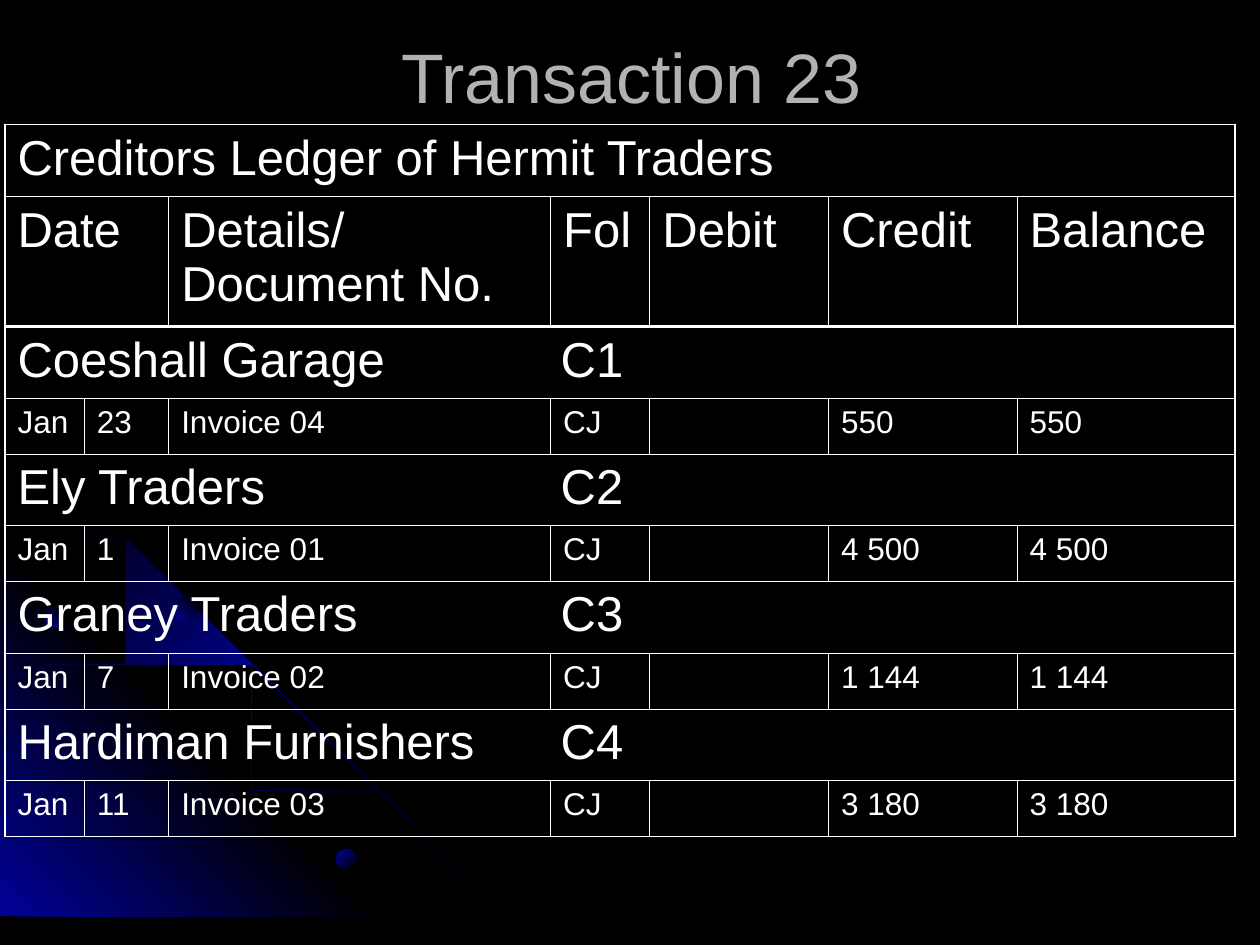
from lxml.etree import SubElement
from pptx import Presentation
from pptx.dml.color import RGBColor
from pptx.enum.shapes import MSO_SHAPE
from pptx.enum.text import MSO_ANCHOR, PP_ALIGN
from pptx.oxml import parse_xml
from pptx.oxml.ns import nsdecls, qn
from pptx.util import Cm, Pt

COLORS = {"bg": "000000", "glow": "010199", "title": "B2B2B2", "text": "FFFFFF"}
FONT = "Arial"
INCH = Cm(2.54)
NO_STYLE = "{2D5ABB26-0587-4C30-8999-92F81FD0307C}"
THIN, OUTER, THICK = 0.45, 1.08, 2.21

ARCS = [
    [(0, 0.11), (0.28, 0.16), (0.56, 0.22), (0.97, 0.34), (1.35, 0.51), (1.73, 0.72),
     (2.08, 0.96), (2.41, 1.22), (2.71, 1.52), (2.98, 1.85), (3.23, 2.22),
     (3.37, 2.46), (3.5, 2.71), (3.6, 2.96), (3.7, 3.22)],
    [(0, 0.5), (0.39, 0.63), (0.77, 0.8), (1.15, 1.01), (1.5, 1.24), (1.83, 1.51),
     (2.13, 1.81), (2.4, 2.15), (2.65, 2.5), (2.85, 2.87), (2.94, 3.05), (3.01, 3.22)],
    [(0, 0.17), (0.36, 0.3), (0.74, 0.48), (1.09, 0.67), (1.42, 0.91), (1.73, 1.17),
     (2.02, 1.48), (2.27, 1.78), (2.52, 2.14), (2.67, 2.4), (2.8, 2.67),
     (2.92, 2.95), (3.01, 3.22)],
]
WEDGE = [(0, 0), (3.22, 3.22), (0, 3.22)]
DOTS = [(0.91, 1.42, 0.38, 135), (6.78, 6.27, 0.41, 225), (3.48, 1.17, 0.53, 135)]

HEADINGS = ["Date", None, "Details/ Document No.", "Fol", "Debit", "Credit", "Balance"]
ACCOUNTS = [
    ("Coeshall Garage", "C1", "23", "Invoice 04", "550"),
    ("Ely Traders", "C2", "1", "Invoice 01", "4 500"),
    ("Graney Traders", "C3", "7", "Invoice 02", "1 144"),
    ("Hardiman Furnishers", "C4", "11", "Invoice 03", "3 180"),
]
COL_WIDTHS = [1.6, 1.7, 7.7, 2.0, 3.6, 3.8, 4.4]
LARGE_ROW, HEADING_ROW, ENTRY_ROW = 1.45, 2.62, 1.12


def add_run(p, text, size, color):
    r = p.add_run()
    r.text = text
    r.font.name = FONT
    r.font.size = Pt(size)
    r.font.color.rgb = RGBColor.from_string(COLORS[color])


def fade(sp, names, angle):
    sp.shadow.inherit = False
    sp.line.fill.background()
    sp.fill.background()
    stops = "".join(
        f'<a:gs pos="{100000 * i // (len(names) - 1)}"><a:srgbClr val="{COLORS[n]}"/></a:gs>'
        for i, n in enumerate(names))
    grad = parse_xml(f'<a:gradFill {nsdecls("a")} rotWithShape="1"><a:gsLst>{stops}</a:gsLst>'
                     f'<a:lin ang="{angle * 60000}" scaled="0"/></a:gradFill>')
    sp_pr = sp._element.spPr
    sp_pr.replace(sp_pr.find(qn("a:noFill")), grad)


def add_outline(s, x, y, points):
    builder = s.shapes.build_freeform(*points[0], scale=INCH)
    builder.add_line_segments(points[1:], close=True)
    return builder.convert_to_shape(x, y)


def add_arc(s, x, y, edge):
    inner = [(px + 0.02, py - 0.02) for px, py in reversed(edge)]
    fade(add_outline(s, x, y, edge + inner), ["bg", "glow", "bg"], 225)


def add_corner(s, x, y):
    add_arc(s, x, y, ARCS[0])
    fade(add_outline(s, x, y, WEDGE), ["glow", "bg", "glow"], 135)
    for edge in ARCS[1:]:
        add_arc(s, x, y, edge)
    for dx, dy, size, angle in DOTS:
        sp = s.shapes.add_shape(MSO_SHAPE.OVAL, x + Cm(dx), y + Cm(dy), Cm(size), Cm(size))
        fade(sp, ["bg", "glow"], angle)


def add_title(s, x, y, w, h):
    sp = s.shapes.title
    sp.left, sp.top, sp.width, sp.height = x, y, w, h
    tf = sp.text_frame
    tf.vertical_anchor = MSO_ANCHOR.MIDDLE
    p = tf.paragraphs[0]
    p.alignment = PP_ALIGN.CENTER
    add_run(p, "Transaction 23", 40, "title")


def set_borders(cell, weights):
    tc_pr = cell._tc.get_or_add_tcPr()
    for side, weight in weights.items():
        ln = SubElement(tc_pr, qn(f"a:ln{side}"), w=str(Pt(weight)))
        fill = SubElement(ln, qn("a:solidFill"))
        SubElement(fill, qn("a:srgbClr"), val=COLORS["text"])


def ledger_rows():
    blanks = [None] * 6
    rows = [(LARGE_ROW, 28, 7, ["Creditors Ledger of Hermit Traders"] + blanks),
            (HEADING_ROW, 28, 2, HEADINGS)]
    for name, folio, day, invoice, amount in ACCOUNTS:
        rows.append((LARGE_ROW, 28, 7, [f"{name}\t{folio}"] + blanks))
        rows.append((ENTRY_ROW, 18, 1, ["Jan", day, invoice, "CJ", None, amount, amount]))
    return rows


def add_ledger(s, x, y):
    rows = ledger_rows()
    last_row, last_col = len(rows) - 1, len(COL_WIDTHS) - 1
    frame = s.shapes.add_table(len(rows), len(COL_WIDTHS), x, y, Cm(sum(COL_WIDTHS)),
                               Cm(sum(row[0] for row in rows)))
    tbl = frame.table
    tbl.first_row = tbl.horz_banding = False
    tbl._tbl.tblPr.find(qn("a:tableStyleId")).text = NO_STYLE
    for col, width in zip(tbl.columns, COL_WIDTHS):
        col.width = Cm(width)
    edges = [OUTER, THIN, THICK] + [THIN] * (last_row - 2) + [OUTER]
    for i, (height, size, span, texts) in enumerate(rows):
        tbl.rows[i].height = Cm(height)
        if span > 1:
            tbl.cell(i, 0).merge(tbl.cell(i, span - 1))
        for j, text in enumerate(texts):
            cell = tbl.cell(i, j)
            weights = {}
            if not cell.is_spanned:
                right = j + cell.span_width - 1
                weights["L"] = THIN if j else OUTER
                weights["R"] = OUTER if right == last_col else THIN
            weights.update(T=edges[i], B=edges[i + 1])
            set_borders(cell, weights)
            cell.fill.background()
            if text:
                p = cell.text_frame.paragraphs[0]
                if "\t" in text:
                    tabs = SubElement(p._p.get_or_add_pPr(), qn("a:tabLst"))
                    SubElement(tabs, qn("a:tab"), pos=str(Cm(10.95)), algn="l")
                add_run(p, text, size, "text")


def main():
    prs = Presentation()
    prs.slide_width, prs.slide_height = Cm(25.4), Cm(19.05)
    s = prs.slides.add_slide(prs.slide_layouts[5])
    s.background.fill.solid()
    s.background.fill.fore_color.rgb = RGBColor.from_string(COLORS["bg"])
    add_corner(s, Cm(0), Cm(10.85))
    add_title(s, Cm(1.3), Cm(0.53), Cm(22.86), Cm(2))
    add_ledger(s, Cm(0.1), Cm(2.51))
    prs.save("out.pptx")


if __name__ == "__main__":
    main()
